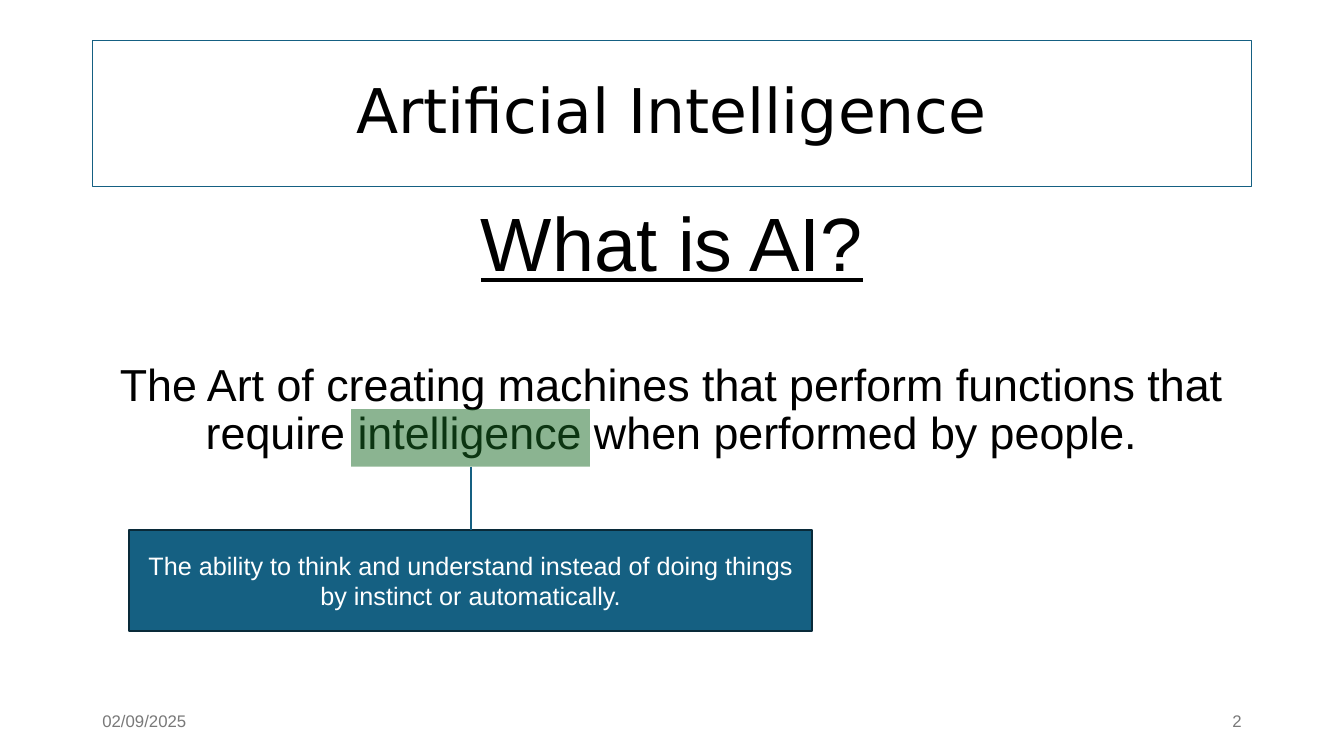
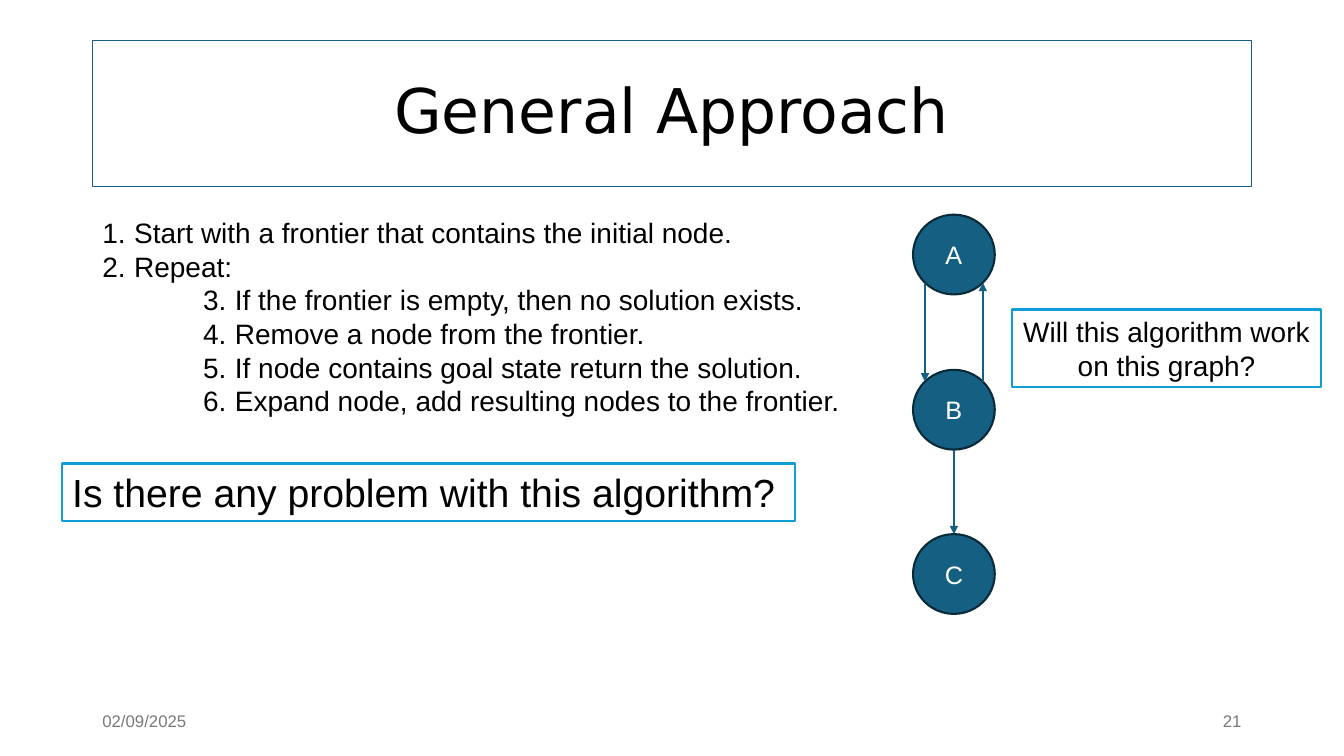
"""Build two slides of an introduction to artificial intelligence."""
from dataclasses import dataclass
from math import sqrt

from lxml import etree
from pptx import Presentation
from pptx.dml.color import RGBColor
from pptx.enum.shapes import MSO_CONNECTOR, MSO_SHAPE
from pptx.enum.text import MSO_ANCHOR, MSO_AUTO_SIZE, PP_ALIGN
from pptx.oxml.ns import qn
from pptx.util import Cm, Pt

STRAIGHT = MSO_CONNECTOR.STRAIGHT
RECTANGLE, OVAL = MSO_SHAPE.RECTANGLE, MSO_SHAPE.OVAL
TOP, MIDDLE = MSO_ANCHOR.TOP, MSO_ANCHOR.MIDDLE
LEFT, CENTER, RIGHT = PP_ALIGN.LEFT, PP_ALIGN.CENTER, PP_ALIGN.RIGHT
NO_AUTOFIT = MSO_AUTO_SIZE.NONE
TITLE_ONLY = 5
SIDE_TOP, SIDE_BOTTOM = 0, 2


@dataclass(frozen=True)
class Theme:
    """Colours, fonts, type sizes and line widths of the presentation."""
    black: str = "000000"
    white: str = "FFFFFF"
    grey: str = "797979"
    teal: str = "156082"
    dark_teal: str = "092A39"
    sky: str = "0F9ED5"
    green: str = "196B24"
    title_font: str = "DejaVu Sans"
    text_font: str = "Arial"
    heading_size: int = 54
    title_size: int = 44
    statement_size: int = 32
    question_size: int = 28
    list_size: int = 20
    label_size: int = 18
    footer_size: int = 12
    thin: float = 0.75
    medium: float = 1.5


THEME = Theme()
MARGIN, CONTENT_WIDTH = 2.33, 29.21
FOOTER_TOP, FOOTER_WIDTH, FOOTER_HEIGHT = 17.65, 7.62, 1.02
DATE = "02/09/2025"
NODE_WIDTH, NODE_HEIGHT = 2.06, 2.01
NUMBER_WIDTH, STEP_INDENT = 0.8, 2.54


def box(left, top, width, height):
    """Return a place in centimetres as lengths."""
    return Cm(left), Cm(top), Cm(width), Cm(height)


def apply(target, values):
    """Set each attribute of the target from a dict."""
    for name, value in values.items():
        setattr(target, name, value)


def set_outline(line, color, width):
    """Give a line its colour and its width in points."""
    line.color.rgb = RGBColor.from_string(color)
    line.width = Pt(width)


def write(paragraph, text, size, color=THEME.black, font=THEME.text_font,
          underline=False, **layout):
    """Write one formatted run into a paragraph."""
    apply(paragraph, layout)
    run = paragraph.add_run()
    run.text = text
    apply(run.font, {"name": font, "size": Pt(size), "bold": False,
                     "underline": underline})
    run.font.color.rgb = RGBColor.from_string(color)


def set_frame(frame, anchor):
    """Wrap a text frame and anchor its text."""
    apply(frame, {"word_wrap": True, "auto_size": NO_AUTOFIT,
                  "vertical_anchor": anchor})
    return frame


def add_text_frame(slide, place, anchor=TOP):
    """Add a text box and return its frame."""
    return set_frame(slide.shapes.add_textbox(*box(*place)).text_frame, anchor)


def add_shape(shapes, kind, place, fill, outline=None):
    """Add a flat preset shape."""
    shape = shapes.add_shape(kind, *box(*place))
    shape.shadow.inherit = False
    shape.fill.solid()
    shape.fill.fore_color.rgb = RGBColor.from_string(fill)
    if outline:
        set_outline(shape.line, outline, THEME.medium)
    else:
        shape.line.fill.background()
    return shape


def add_label(shapes, kind, place, text):
    """Add a teal shape with a white centred label."""
    shape = add_shape(shapes, kind, place, THEME.teal, THEME.dark_teal)
    frame = set_frame(shape.text_frame, MIDDLE)
    write(frame.paragraphs[0], text, THEME.label_size, THEME.white,
          alignment=CENTER)
    return shape


def add_question(slide, place, text, size, alignment):
    """Add a white question box with a sky outline."""
    shape = add_shape(slide.shapes, RECTANGLE, place, THEME.white, THEME.sky)
    frame = set_frame(shape.text_frame, TOP)
    write(frame.paragraphs[0], text, size, alignment=alignment)


def add_line(shapes, start, end, arrow=False):
    """Add a straight teal connector, with an arrowhead if asked."""
    connector = shapes.add_connector(
        STRAIGHT, *(Cm(value) for value in (*start, *end)))
    set_outline(connector.line, THEME.teal, THEME.medium)
    properties = connector._element.spPr
    if arrow:
        outline = properties.find(qn("a:ln"))
        etree.SubElement(outline, qn("a:tailEnd"), type="triangle")
    etree.SubElement(properties, qn("a:effectLst"))
    return connector


def number(paragraph, level, start):
    """Number a list paragraph at its level."""
    paragraph.level = level
    properties = paragraph._p.get_or_add_pPr()
    properties.set("marL", str(Cm(level * STEP_INDENT + NUMBER_WIDTH)))
    properties.set("indent", str(-Cm(NUMBER_WIDTH)))
    etree.SubElement(properties, qn("a:buAutoNum"), type="arabicPeriod",
                     startAt=str(start))


def add_numbered_list(slide, place, groups):
    """Add a list whose numbers run on from one level to the next."""
    frame = add_text_frame(slide, place)
    start = 1
    for level, items in enumerate(groups):
        for item in items:
            first = level == 0 and item == items[0]
            paragraph = frame.paragraphs[0] if first else frame.add_paragraph()
            number(paragraph, level, start)
            write(paragraph, item, THEME.list_size)
        start += len(items)


def add_slide(presentation, title, page):
    """Add a slide with its framed title, date and page number."""
    slide = presentation.slides.add_slide(
        presentation.slide_layouts[TITLE_ONLY])
    shape = slide.shapes.title
    apply(shape, dict(zip(("left", "top", "width", "height"),
                          box(MARGIN, 1.02, CONTENT_WIDTH, 3.68))))
    set_outline(shape.line, THEME.teal, THEME.thin)
    frame = set_frame(shape.text_frame, MIDDLE)
    write(frame.paragraphs[0], title, THEME.title_size, font=THEME.title_font,
          alignment=CENTER, line_spacing=0.9)
    page_left = MARGIN + CONTENT_WIDTH - FOOTER_WIDTH
    for left, text, alignment in ((MARGIN, DATE, LEFT),
                                  (page_left, page, RIGHT)):
        place = (left, FOOTER_TOP, FOOTER_WIDTH, FOOTER_HEIGHT)
        footer = add_text_frame(slide, place, MIDDLE)
        write(footer.paragraphs[0], text, THEME.footer_size, THEME.grey,
              alignment=alignment)
    return slide


def add_highlight(slide, place):
    """Add a half-transparent green marker."""
    marker = add_shape(slide.shapes, RECTANGLE, place, THEME.green)
    color = marker._element.spPr.find(qn("a:solidFill"))[0]
    etree.SubElement(color, qn("a:alpha"), val="50000")
    return marker


def add_graph(slide, left, tops):
    """Add nodes A, B and C, a cycle from A to B and an edge to C."""
    shapes = slide.shapes.add_group_shape().shapes
    for name, top in zip("ABC", tops):
        add_label(shapes, OVAL, (left, top, NODE_WIDTH, NODE_HEIGHT), name)
    center = left + NODE_WIDTH / 2
    across, down = (size / 2 / sqrt(2) for size in (NODE_WIDTH, NODE_HEIGHT))
    middle_a, middle_b, middle_c = (top + NODE_HEIGHT / 2 for top in tops)
    lower_a, upper_b = middle_a + down, middle_b - down
    edges = (
        (center, middle_b + NODE_HEIGHT / 2, middle_c - NODE_HEIGHT / 2),
        (center - across, lower_a, upper_b),
        (center + across, upper_b, lower_a),
    )
    for x, start, end in edges:
        add_line(shapes, (x, start), (x, end), arrow=True)


def build_definition(presentation):
    """Build the slide that defines artificial intelligence."""
    slide = add_slide(presentation, "Artificial Intelligence", "2")
    frame = add_text_frame(slide, (MARGIN, 5.08, CONTENT_WIDTH, 12.09))
    write(frame.paragraphs[0], "What is AI?", THEME.heading_size,
          underline=True, alignment=CENTER, line_spacing=0.9)
    write(frame.add_paragraph(),
          "The Art of creating machines that perform functions that require "
          "intelligence when performed by people.", THEME.statement_size,
          alignment=CENTER, line_spacing=0.9, space_before=Pt(53))
    marker = add_highlight(slide, (8.85, 10.31, 6.02, 1.45))
    meaning = add_label(
        slide.shapes, RECTANGLE, (3.25, 13.36, 17.22, 2.54),
        "The ability to think and understand instead of doing things by "
        "instinct or automatically.")
    link = add_line(slide.shapes, (11.86, 11.76), (11.86, 13.36))
    link.begin_connect(marker, SIDE_BOTTOM)
    link.end_connect(meaning, SIDE_TOP)


def build_approach(presentation):
    """Build the slide on the general search algorithm."""
    slide = add_slide(presentation, "General Approach", "21")
    add_numbered_list(slide, (MARGIN, 5.31, 19.66, 5.38), (
        ("Start with a frontier that contains the initial node.", "Repeat:"),
        ("If the frontier is empty, then no solution exists.",
         "Remove a node from the frontier.",
         "If node contains goal state return the solution.",
         "Expand node, add resulting nodes to the frontier."),
    ))
    add_question(slide, (1.57, 11.68, 18.47, 1.45),
                 "Is there any problem with this algorithm?",
                 THEME.question_size, LEFT)
    add_graph(slide, 23.01, (5.41, 9.32, 13.46))
    add_question(slide, (25.5, 7.8, 7.8, 1.96),
                 "Will this algorithm work on this graph?",
                 THEME.list_size, CENTER)


def main():
    """Build and save the presentation."""
    presentation = Presentation()
    apply(presentation, {"slide_width": Cm(33.87), "slide_height": Cm(19.05)})
    build_definition(presentation)
    build_approach(presentation)
    presentation.save("out.pptx")


if __name__ == "__main__":
    main()
